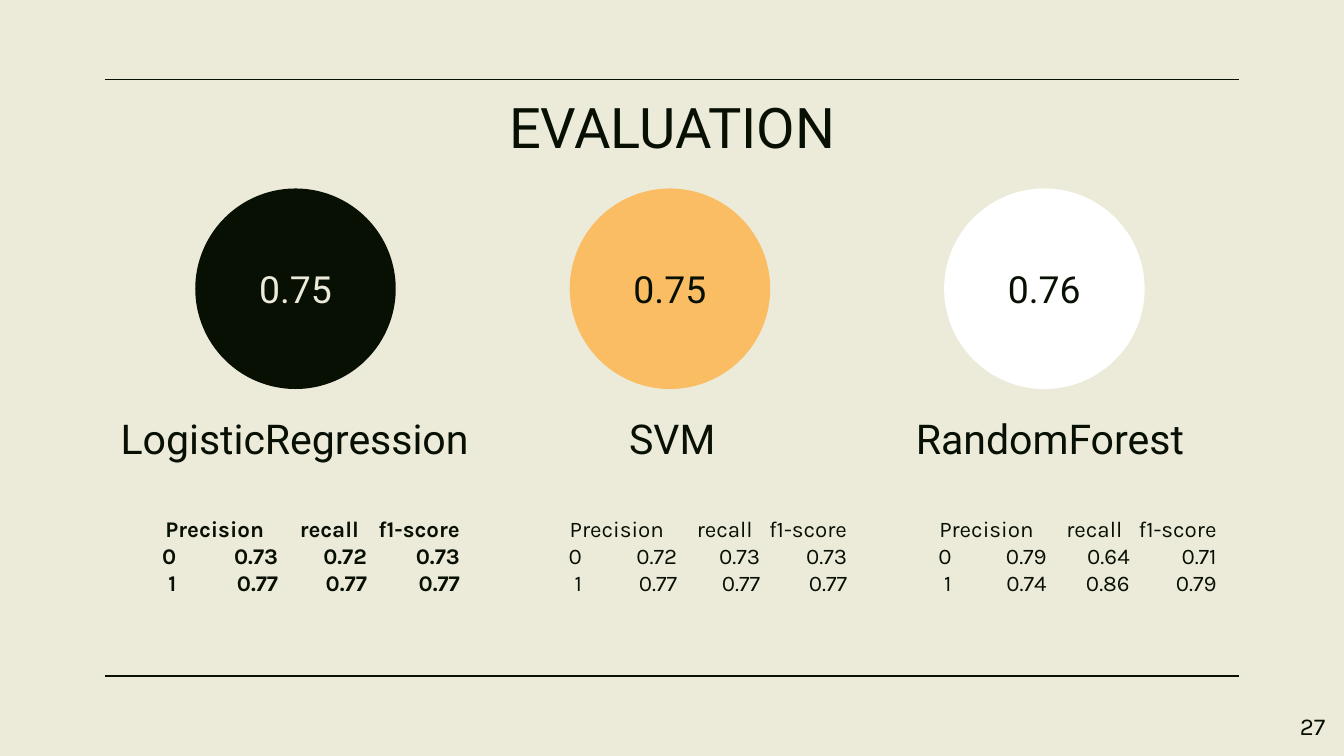
import pptx
import pptx.dml.color
import pptx.enum.shapes
import pptx.enum.text
import pptx.util
from lxml import etree

Pt = pptx.util.Pt
ALIGN = pptx.enum.text.PP_ALIGN
ANCHOR = pptx.enum.text.MSO_ANCHOR
COLORS = {"ink": "081004", "paper": "ECEBDA", "amber": "FABD63", "white": "FFFFFF"}


def rgb(name):
    return pptx.dml.color.RGBColor.from_string(COLORS[name])


def write(shape, lines, font, color="ink", align=ALIGN.CENTER, anchor=ANCHOR.TOP,
          inset=7.2, stops=None):
    """Fill a shape with lines; stops holds the right tab stops of each line."""
    frame = shape.text_frame
    layout = {"word_wrap": True, "vertical_anchor": anchor}
    layout.update({f"margin_{side}": Pt(inset) for side in ("left", "top", "right", "bottom")})
    for name, value in layout.items():
        setattr(frame, name, value)
    for index, line in enumerate(lines):
        para = frame.paragraphs[0] if index == 0 else frame.add_paragraph()
        para.alignment = align
        if stops:
            properties = para._p.get_or_add_pPr()
            tabs = etree.SubElement(properties, pptx.oxml.ns.qn("a:tabLst"))
            for stop in stops[index]:
                etree.SubElement(tabs, pptx.oxml.ns.qn("a:tab"), pos=str(Pt(stop)), algn="r")
        span = para.add_run()
        span.text = line
        for name, value in font.items():
            setattr(span.font, name, value)
        span.font.color.rgb = rgb(color)


deck = pptx.Presentation()
deck.slide_width, deck.slide_height = Pt(720), Pt(405)
page = deck.slides.add_slide(deck.slide_layouts[6])
page.background.fill.solid()
page.background.fill.fore_color.rgb = rgb("paper")

# Rules above and below the content
for y in (42.5, 362.2):
    rule = page.shapes.add_connector(
        pptx.enum.shapes.MSO_CONNECTOR.STRAIGHT, Pt(56.2), Pt(y), Pt(663.8), Pt(y))
    rule.line.color.rgb = rgb("ink")
    rule.line.width = Pt(0.75)
    etree.SubElement(rule._element.spPr, pptx.oxml.ns.qn("a:effectLst"))

# Title
title = page.shapes.add_textbox(Pt(56.7), Pt(42.5), Pt(607), Pt(45.4))
write(title, ["EVALUATION"], {"name": "Roboto", "size": Pt(30)})

# One column per model: accuracy circle, name, scores by class
MODELS = [
    ("LogisticRegression", "0.75", "ink", "paper", 51.8, True,
     [("0", "0.73", "0.72", "0.73"), ("1", "0.77", "0.77", "0.77")]),
    ("SVM", "0.75", "amber", "ink", 259.2, False,
     [("0", "0.72", "0.73", "0.73"), ("1", "0.77", "0.77", "0.77")]),
    ("RandomForest", "0.76", "white", "ink", 457.2, False,
     [("0", "0.79", "0.64", "0.71"), ("1", "0.74", "0.86", "0.79")]),
]
HEADER = ("Precision", "recall", "f1-score")
COLUMN_WIDTH = 202.3
RIGHT_STOP = 187.5
HEADER_GAPS = (98, 50.5, 0)
SCORE_GAPS = (142, 91, 46.5, 0)

for column, (model, accuracy, fill, color, left, bold, scores) in enumerate(MODELS):
    circle = page.shapes.add_shape(
        pptx.enum.shapes.MSO_SHAPE.OVAL,
        Pt(104.6 + 200.6 * column), Pt(101), Pt(107.4), Pt(107.4))
    circle.shadow.inherit = False
    circle.fill.solid()
    circle.fill.fore_color.rgb = rgb(fill)
    circle.line.fill.background()
    write(circle, [accuracy], {"name": "Roboto", "size": Pt(20)}, color,
          anchor=ANCHOR.MIDDLE, inset=0)

    label = page.shapes.add_textbox(
        Pt(56.7 + COLUMN_WIDTH * column), Pt(226), Pt(COLUMN_WIDTH), Pt(29))
    write(label, [model], {"name": "Roboto", "size": Pt(22)}, anchor=ANCHOR.BOTTOM)

    # Bold text is wider, so its columns stand further apart
    scale = 1.07 if bold else 1
    header_stops, score_stops = (
        [RIGHT_STOP - gap * scale for gap in gaps] for gaps in (HEADER_GAPS, SCORE_GAPS))
    report = page.shapes.add_textbox(Pt(left), Pt(268.8), Pt(COLUMN_WIDTH), Pt(78.5))
    write(report, ["\t" + "\t".join(row) for row in (HEADER, *scores)],
          {"name": "Karla", "size": Pt(12), "bold": bold}, align=ALIGN.LEFT,
          stops=[header_stops, score_stops, score_stops])

# Page number
number = page.shapes.add_textbox(Pt(673.9), Pt(373.7), Pt(43.2), Pt(31))
write(number, ["27"], {"name": "Karla", "size": Pt(13)}, align=ALIGN.RIGHT)

deck.save("out.pptx")
